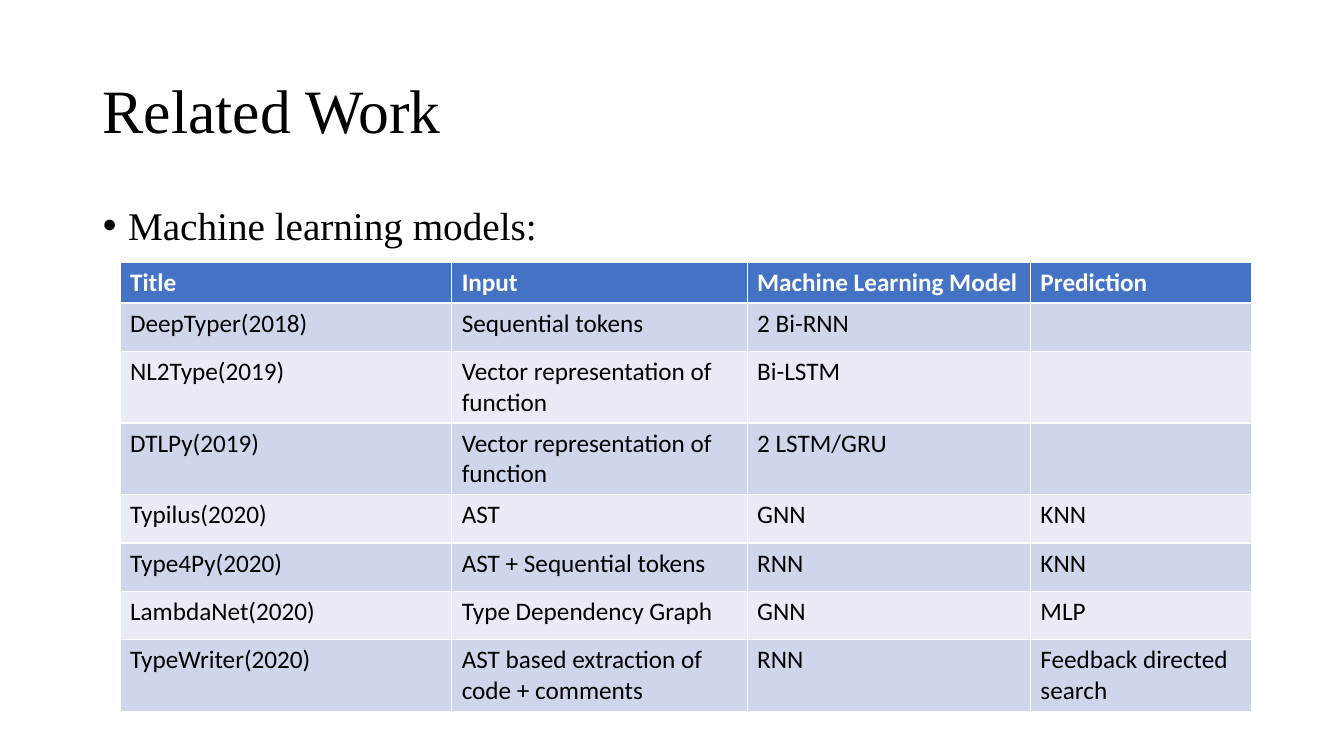
from dataclasses import dataclass

from lxml.etree import SubElement
from pptx import Presentation
from pptx.dml.color import RGBColor
from pptx.enum.text import MSO_ANCHOR, MSO_AUTO_SIZE, PP_ALIGN
from pptx.oxml.ns import qn
from pptx.util import Pt

EMU_PER_PX = 9144


def px(length):
    return length * EMU_PER_PX


@dataclass(frozen=True)
class Theme:
    heading_font: str = "Times New Roman"
    table_font: str = "Calibri"
    title_size: int = 44
    body_size: int = 28
    table_size: int = 18
    text: str = "000000"
    header_text: str = "FFFFFF"
    header_fill: str = "4472C4"
    band_fills: tuple = ("CFD5EA", "E9EBF5")


class SlideBuilder:
    def __init__(self, slide, theme):
        self.slide = slide
        self.theme = theme

    def style(self, paragraph, font, size, color, bold=False):
        paragraph.font.name = font
        paragraph.font.size = Pt(size)
        paragraph.font.bold = bold
        paragraph.font.color.rgb = RGBColor.from_string(color)

    def place(self, placeholder, left, top, width, height):
        placeholder.left, placeholder.top = px(left), px(top)
        placeholder.width, placeholder.height = px(width), px(height)
        placeholder.text_frame.auto_size = MSO_AUTO_SIZE.NONE

    def title(self, wording, *box):
        heading = self.slide.shapes.title
        self.place(heading, *box)
        heading.text_frame.text = wording
        heading.text_frame.vertical_anchor = MSO_ANCHOR.MIDDLE
        paragraph = heading.text_frame.paragraphs[0]
        paragraph.alignment = PP_ALIGN.LEFT
        paragraph.line_spacing = 0.9
        self.style(paragraph, self.theme.heading_font, self.theme.title_size, self.theme.text)

    def bullets(self, items, *box):
        body = self.slide.placeholders[1]
        self.place(body, *box)
        body.text_frame.text = "\n".join(items)
        for paragraph in body.text_frame.paragraphs:
            paragraph.line_spacing = 0.9
            paragraph.space_before = Pt(10)
            properties = paragraph._p.get_or_add_pPr()
            properties.set("marL", str(px(25)))
            properties.set("indent", str(px(-25)))
            SubElement(properties, qn("a:buFont"), typeface="Arial")
            SubElement(properties, qn("a:buChar"), char="•")
            self.style(paragraph, self.theme.heading_font, self.theme.body_size, self.theme.text)

    def table(self, rows, left, top, column_widths, header_height, row_height):
        theme = self.theme
        height = header_height + row_height * (len(rows) - 1)
        grid = self.slide.shapes.add_table(
            len(rows), len(column_widths),
            px(left), px(top), px(sum(column_widths)), px(height),
        ).table
        for column, width in zip(grid.columns, column_widths):
            column.width = px(width)
        for index, values in enumerate(rows):
            is_header = index == 0
            grid.rows[index].height = px(header_height if is_header else row_height)
            fill = theme.header_fill if is_header else theme.band_fills[(index - 1) % 2]
            color = theme.header_text if is_header else theme.text
            for cell, value in zip(grid.rows[index].cells, values):
                cell.text = value
                cell.fill.solid()
                cell.fill.fore_color.rgb = RGBColor.from_string(fill)
                self.style(cell.text_frame.paragraphs[0], theme.table_font,
                           theme.table_size, color, bold=is_header)


RELATED_WORK = [
    ("Title", "Input", "Machine Learning Model", "Prediction"),
    ("DeepTyper(2018)", "Sequential tokens", "2 Bi-RNN", ""),
    ("NL2Type(2019)", "Vector representation of function", "Bi-LSTM", ""),
    ("DTLPy(2019)", "Vector representation of function", "2 LSTM/GRU", ""),
    ("Typilus(2020)", "AST", "GNN", "KNN"),
    ("Type4Py(2020)", "AST + Sequential tokens", "RNN", "KNN"),
    ("LambdaNet(2020)", "Type Dependency Graph", "GNN", "MLP"),
    ("TypeWriter(2020)", "AST based extraction of code + comments", "RNN",
     "Feedback directed search"),
]


def main():
    presentation = Presentation()
    presentation.slide_width, presentation.slide_height = px(1333), px(750)
    slide = presentation.slides.add_slide(presentation.slide_layouts[1])
    builder = SlideBuilder(slide, Theme())
    builder.title("Related Work", 92, 40, 1150, 145)
    builder.bullets(["Machine learning models:"], 92, 200, 1150, 476)
    builder.table(RELATED_WORK, 119, 260, column_widths=(329, 293, 281, 219),
                  header_height=39, row_height=48)
    presentation.save("out.pptx")


if __name__ == "__main__":
    main()
